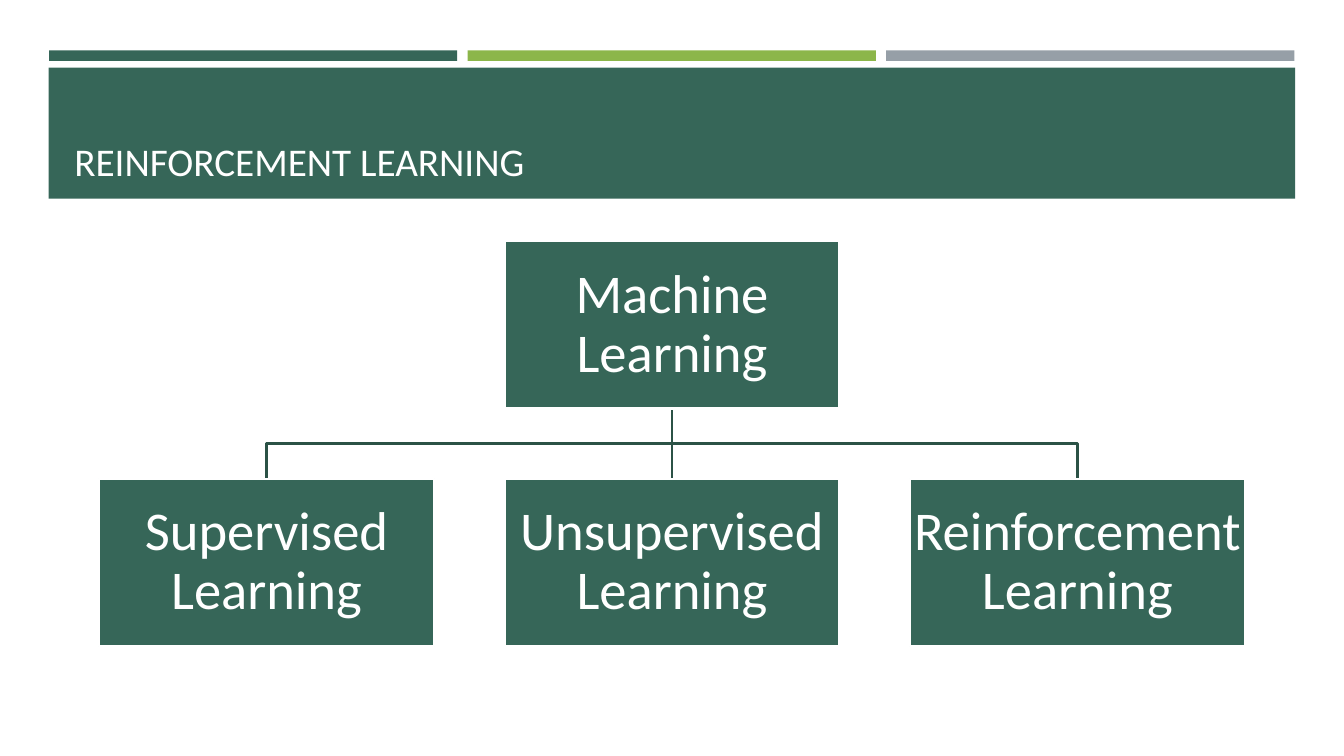
import pptx
import pptx.dml.color
import pptx.enum.shapes
import pptx.enum.text
import pptx.util
from lxml import etree
from pptx.util import Pt

TITLE = "REINFORCEMENT LEARNING"
ROOT = "Machine Learning"
BRANCHES = ["Supervised Learning", "Unsupervised Learning", "Reinforcement Learning"]

FONT = "Calibri"
GREEN, LIME, GREY = "366658", "8CB64A", "969FA7"
DARK_GREEN, WHITE = "2B5246", "FFFFFF"

SLIDE_WIDTH, SLIDE_HEIGHT = 960, 540
BAR_LEFT, BAR_TOP, BAR_WIDTH, BAR_HEIGHT, BAR_PITCH = 35, 36, 291.6, 7.5, 299
BANNER = (34.8, 48.4, 890.4, 93.6)
TITLE_BOX = (46, 55.5, 868, 80)
NODE_WIDTH, NODE_HEIGHT, NODE_PITCH = 239.4, 119.6, 289.6
ROOT_TOP, BRANCH_TOP = 172.2, 342
LINE_WIDTH = 1.75


def color(hex_text):
    return pptx.dml.color.RGBColor.from_string(hex_text)


def add_rectangle(slide, box, fill, outline=None):
    shape = slide.shapes.add_shape(
        pptx.enum.shapes.MSO_SHAPE.RECTANGLE, *[Pt(value) for value in box])
    shape.shadow.inherit = False
    shape.fill.solid()
    shape.fill.fore_color.rgb = color(fill)
    if outline:
        shape.line.color.rgb = color(outline)
        shape.line.width = Pt(LINE_WIDTH)
    else:
        shape.line.fill.background()
    return shape


def write_text(shape, text, size, anchor, alignment, margins):
    frame = shape.text_frame
    frame.word_wrap = True
    frame.vertical_anchor = anchor
    frame.margin_left = frame.margin_right = Pt(margins[0])
    frame.margin_top = frame.margin_bottom = Pt(margins[1])
    paragraph = frame.paragraphs[0]
    paragraph.alignment = alignment
    paragraph.line_spacing = 0.9
    run = paragraph.add_run()
    run.text = text
    run.font.name = FONT
    run.font.size = Pt(size)
    run.font.color.rgb = color(WHITE)


def add_node(slide, text, center, top):
    box = (center - NODE_WIDTH / 2, top, NODE_WIDTH, NODE_HEIGHT)
    write_text(add_rectangle(slide, box, GREEN, WHITE), text, 39,
               pptx.enum.text.MSO_ANCHOR.MIDDLE, pptx.enum.text.PP_ALIGN.CENTER, (2, 2))


def add_branch_line(slide, start_x, end_x):
    """Join the root to a branch: straight down, or bent halfway."""
    top, bottom = ROOT_TOP + NODE_HEIGHT, BRANCH_TOP
    middle = (top + bottom) / 2
    if start_x == end_x:
        line = slide.shapes.add_connector(
            pptx.enum.shapes.MSO_CONNECTOR.STRAIGHT,
            Pt(start_x), Pt(top), Pt(end_x), Pt(bottom))
        etree.SubElement(line.line._get_or_add_ln().getparent(),
                         pptx.oxml.ns.qn("a:effectLst"))
    else:
        builder = slide.shapes.build_freeform(Pt(start_x), Pt(top))
        corners = [(start_x, middle), (end_x, middle), (end_x, bottom)]
        builder.add_line_segments([(Pt(x), Pt(y)) for x, y in corners], close=False)
        line = builder.convert_to_shape()
        line.shadow.inherit = False
        line.fill.background()
    line.line.color.rgb = color(DARK_GREEN)
    line.line.width = Pt(LINE_WIDTH)


def main():
    presentation = pptx.Presentation()
    presentation.slide_width = Pt(SLIDE_WIDTH)
    presentation.slide_height = Pt(SLIDE_HEIGHT)
    slide = presentation.slides.add_slide(presentation.slide_layouts[6])

    for index, fill in enumerate([GREEN, LIME, GREY]):
        left = BAR_LEFT + index * BAR_PITCH
        add_rectangle(slide, (left, BAR_TOP, BAR_WIDTH, BAR_HEIGHT), fill)
    add_rectangle(slide, BANNER, GREEN)
    title = slide.shapes.add_textbox(*[Pt(value) for value in TITLE_BOX])
    write_text(title, TITLE, 28, pptx.enum.text.MSO_ANCHOR.BOTTOM,
               pptx.enum.text.PP_ALIGN.LEFT, (7.2, 3.6))

    root_center = SLIDE_WIDTH / 2
    centers = [root_center + (index - 1) * NODE_PITCH for index in range(len(BRANCHES))]
    for center in centers:
        add_branch_line(slide, root_center, center)
    add_node(slide, ROOT, root_center, ROOT_TOP)
    for text, center in zip(BRANCHES, centers):
        add_node(slide, text, center, BRANCH_TOP)

    presentation.save("out.pptx")


if __name__ == "__main__":
    main()
